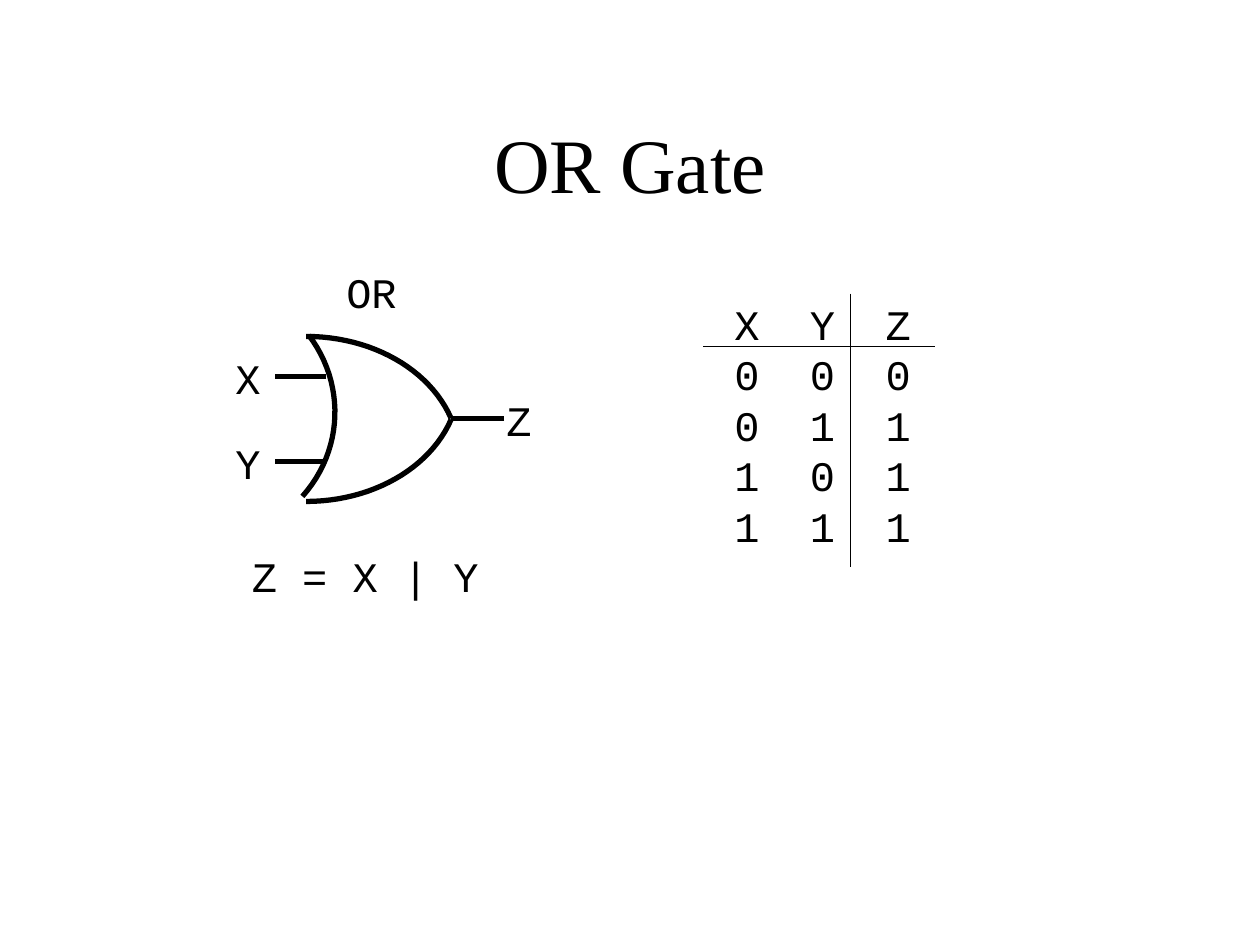
from dataclasses import dataclass

from lxml.etree import SubElement
from pptx import Presentation
from pptx.dml.color import RGBColor
from pptx.enum.shapes import MSO_CONNECTOR
from pptx.enum.text import MSO_ANCHOR, PP_ALIGN
from pptx.oxml.ns import qn
from pptx.util import Inches, Pt

INK = "000000"
CODE_FONT = "Courier New"
TITLE_FONT = "Times New Roman"
COLUMN_PITCH = 0.6
CURVE_STEPS = 24

Point = tuple[float, float]


@dataclass
class Label:
    text: str
    left: float
    top: float
    width: float


@dataclass
class Wire:
    start: Point
    end: Point
    weight: float


def colour(hex_code: str) -> RGBColor:
    return RGBColor.from_string(hex_code)


def add_run(paragraph, text: str, font: str, size: float) -> None:
    run = paragraph.add_run()
    run.text = text
    run.font.name = font
    run.font.size = Pt(size)
    run.font.color.rgb = colour(INK)


def add_text(slide, lines: list[str], left: float, top: float,
             width: float, height: float = 0.5):
    frame = slide.shapes.add_textbox(
        Inches(left), Inches(top), Inches(width), Inches(height)).text_frame
    frame.word_wrap = False
    for index, line in enumerate(lines):
        paragraph = frame.add_paragraph() if index else frame.paragraphs[0]
        add_run(paragraph, line, CODE_FONT, 24)
    return frame


def set_tab_stops(paragraph, positions: list[float]) -> None:
    tab_list = SubElement(paragraph._p.get_or_add_pPr(), qn("a:tabLst"))
    for position in positions:
        SubElement(tab_list, qn("a:tab"), pos=str(Inches(position)), algn="l")


def add_wire(slide, wire: Wire) -> None:
    connector = slide.shapes.add_connector(
        MSO_CONNECTOR.STRAIGHT, *(Inches(v) for v in wire.start + wire.end))
    connector.line.color.rgb = colour(INK)
    connector.line.width = Pt(wire.weight)
    SubElement(connector._element.spPr, qn("a:effectLst"))


def bezier_point(controls: list[Point], t: float) -> tuple[int, int]:
    u = 1 - t
    weights = (u ** 3, 3 * u * u * t, 3 * u * t * t, t ** 3)
    x, y = (sum(w * c[axis] for w, c in zip(weights, controls)) for axis in (0, 1))
    return Inches(x), Inches(y)


def add_curve(slide, controls: list[Point]) -> None:
    points = [bezier_point(controls, step / CURVE_STEPS)
              for step in range(CURVE_STEPS + 1)]
    builder = slide.shapes.build_freeform(*points[0])
    builder.add_line_segments(points[1:], close=False)
    curve = builder.convert_to_shape()
    curve.shadow.inherit = False
    curve.fill.background()
    curve.line.color.rgb = colour(INK)
    curve.line.width = Pt(3)


def main() -> None:
    deck = Presentation()
    deck.slide_width, deck.slide_height = Inches(10), Inches(7.5)
    slide = deck.slides.add_slide(deck.slide_layouts[5])

    # Title
    title = slide.shapes.title
    title.left, title.top = Inches(0.75), Inches(0.67)
    title.width, title.height = Inches(8.5), Inches(1.25)
    title.text_frame.vertical_anchor = MSO_ANCHOR.MIDDLE
    heading = title.text_frame.paragraphs[0]
    heading.alignment = PP_ALIGN.CENTER
    add_run(heading, "OR Gate", TITLE_FONT, 44)

    # Gate outline: upper and lower fronts, then the concave back
    gate_curves = [
        [(2.43, 2.67), (2.95, 2.67), (3.41, 2.93), (3.58, 3.32)],
        [(2.43, 3.98), (2.95, 3.98), (3.41, 3.72), (3.58, 3.33)],
        [(2.45, 2.66), (2.74, 3.04), (2.73, 3.57), (2.4, 3.94)],
    ]
    for controls in gate_curves:
        add_curve(slide, controls)

    # Inputs, output and the rules of the truth table
    wires = [
        Wire((2.59, 2.99), (2.18, 2.99), 3),
        Wire((2.59, 3.66), (2.18, 3.66), 3),
        Wire((4, 3.32), (3.58, 3.32), 3),
        Wire((5.58, 2.75), (7.42, 2.75), 0.75),
        Wire((6.75, 2.33), (6.75, 4.5), 0.75),
    ]
    for wire in wires:
        add_wire(slide, wire)

    # Gate labels and formula
    labels = [
        Label("OR", 2.65, 2.07, 0.6),
        Label("X", 1.77, 2.75, 0.4),
        Label("Y", 1.77, 3.42, 0.4),
        Label("Z", 3.92, 3.08, 0.4),
        Label("Z = X | Y", 1.9, 4.32, 2),
    ]
    for label in labels:
        add_text(slide, [label.text], label.left, label.top, label.width)

    # Truth table
    rows = [("X", "Y", "Z")]
    rows += [(str(x), str(y), str(x | y)) for x in (0, 1) for y in (0, 1)]
    truth_table = add_text(slide, ["\t".join(row) for row in rows],
                           5.73, 2.32, 1.6, 2.1)
    for paragraph in truth_table.paragraphs:
        set_tab_stops(paragraph, [COLUMN_PITCH, 2 * COLUMN_PITCH])

    deck.save("out.pptx")


if __name__ == "__main__":
    main()
